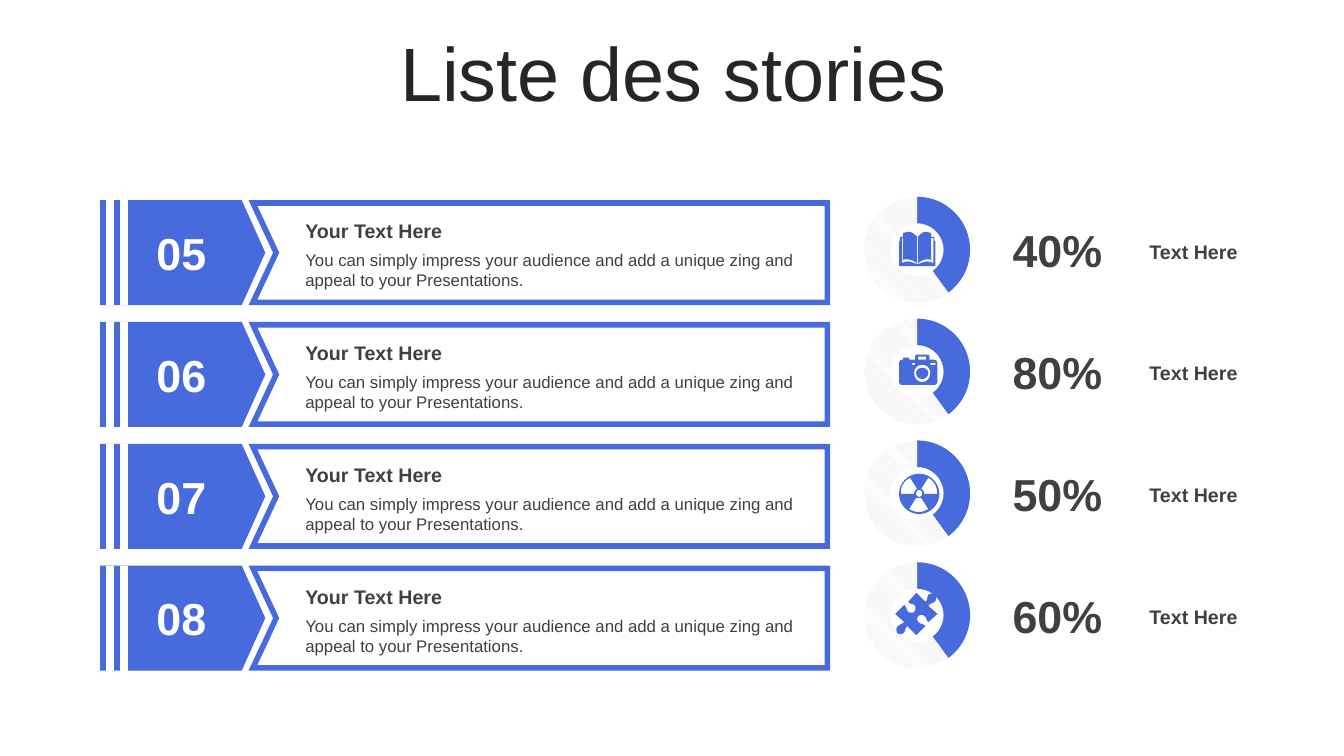
from lxml import etree
from pptx import Presentation
from pptx import util as u
from pptx.chart.data import CategoryChartData
from pptx.dml.color import RGBColor
from pptx.enum import chart, dml, shapes, text
from pptx.oxml.ns import qn

COLORS = {
    "blue": "476ADD",
    "white": "FFFFFF",
    "title": "262626",
    "body": "404040",
    "hatch": "D9D9D9",
    "black": "000000",
}
FONT = "Arial"
BODY = "You can simply impress your audience and add a unique zing and appeal to your Presentations."
ROW_TOP, ROW_PITCH, ROW_HEIGHT = 145, 87, 71
ICON_UNIT = 0.72

BOOK = (
    "18,32 19,32 25,30:27,28:34,31 34,6 32,6 32,28 28,26:23,28:19,31 19,5 21,2:24,0:27,0 "
    "28,0:30,1:32,1 32,5 35,5 35,9 36,9 36,34 0,34 0,9 1,9 1,5 4,5 4,1 6,1:8,0:9,0 "
    "13,0:15,2:18,5 18,31 13,28:8,26:4,28 4,6 3,6 3,31 9,28:12,30:18,32"
)
CAMERA = (
    "23,13 26,13:29,15:29,18 29,22:26,24:23,24 20,24:17,22:17,18 17,15:20,13:23,13"
    "|23,10 18,10:15,14:15,18 15,23:18,27:23,27 28,27:31,23:31,18 31,14:28,10:23,10"
    "|13,8 13,10 16,10 16,8|31,8 31,10 36,10 36,8|19,2 19,5 27,5 27,2"
    "|17,0 29,0 30,1 30,5 35,5 37,5:38,7:38,9 38,27 38,28:37,30:35,30 3,30 "
    "1,30:0,28:0,27 0,9 0,7:1,5:3,5 4,5 4,3 10,3 10,5 16,5 16,1"
)
RADIATION = (
    "17,24 10,35 16,39:23,39:29,35 22,24"
    "|20,16 18,16:17,18:17,20 17,21:18,23:20,23 22,23:23,21:23,20 23,18:22,16:20,16"
    "|29,4 22,15 24,16:25,18:25,20 38,20 38,13:35,7:29,4"
    "|11,4 5,7:1,13:2,20 15,20 15,18:16,16:18,15"
    "|20,0 31,0:40,9:40,20 40,31:31,40:20,40 9,40:0,31:0,20 0,9:9,0:20,0"
)
PUZZLE = (
    "40,2 41,4:41,6:40,8 38,11:36,9:33,13 42,21 33,29 30,27:32,25:29,23 27,21:25,22:23,23 "
    "22,24:21,27:23,29 26,32:27,30:30,33 21,42 12,33 9,36:11,37:9,39 7,42:4,41:2,40 "
    "1,38:1,35:2,34 4,31:6,32:9,29 0,21 9,12 12,15:11,17:13,19 15,20:18,20:19,19 "
    "20,17:21,14:19,12 16,10:15,12:13,9 21,0 30,9 33,6:31,5:33,2 35,0:38,1:40,2"
)
STORIES = [
    ("05", "40%", BOOK, 642.2, 165.6),
    ("06", "80%", CAMERA, 642.2, 253.4),
    ("07", "50%", RADIATION, 642.2, 338.4),
    ("08", "60%", PUZZLE, 639.4, 423.4),
]


def rgb(name):
    """Return the named colour."""
    return RGBColor.from_string(COLORS[name])


def trace(outline, left, top, steps=8):
    """Turn an icon outline with Bezier curves into contours in points."""
    contours = []
    for contour in outline.split("|"):
        points = []
        for token in contour.split():
            knots = [tuple(map(float, pair.split(","))) for pair in token.split(":")]
            if len(knots) == 1:
                points += knots
                continue
            a, (b, c, d) = points[-1], knots
            for step in range(1, steps + 1):
                t = step / steps
                s = 1 - t
                points.append(tuple(
                    s**3 * a[k] + 3 * s * s * t * b[k] + 3 * s * t * t * c[k] + t**3 * d[k]
                    for k in (0, 1)
                ))
        contours.append([(left + x * ICON_UNIT, top + y * ICON_UNIT) for x, y in points])
    return contours


class Deck:
    """Holds the style and the current slide."""

    def __init__(self):
        """Open a presentation with one title-only slide."""
        self.presentation = Presentation()
        self.presentation.slide_width = u.Pt(960)
        self.presentation.slide_height = u.Pt(540)
        self.slide = self.presentation.slides.add_slide(self.presentation.slide_layouts[5])

    def style(self, paragraph, size, color, bold=False, align=text.PP_ALIGN.LEFT):
        """Format a paragraph and its runs."""
        paragraph.alignment = align
        for run in paragraph.runs:
            run.font.name = FONT
            run.font.size = u.Pt(size)
            run.font.bold = bold
            run.font.color.rgb = rgb(color)

    def title(self, words, box):
        """Place and format the title."""
        shape = self.slide.shapes.title
        shape.left, shape.top, shape.width, shape.height = map(u.Pt, box)
        shape.text_frame.text = words
        shape.text_frame.vertical_anchor = text.MSO_ANCHOR.MIDDLE
        paragraph = shape.text_frame.paragraphs[0]
        paragraph.line_spacing = 0.9
        paragraph.space_before = u.Pt(10)
        self.style(paragraph, 54, "title", align=text.PP_ALIGN.CENTER)

    def label(self, words, box, size, color="body", bold=True, centred=True, inset=3.6,
              anchor=text.MSO_ANCHOR.TOP):
        """Add a wrapped text box."""
        frame = self.slide.shapes.add_textbox(*map(u.Pt, box)).text_frame
        frame.word_wrap = True
        frame.auto_size = text.MSO_AUTO_SIZE.SHAPE_TO_FIT_TEXT
        frame.vertical_anchor = anchor
        frame.margin_top = frame.margin_bottom = u.Pt(inset)
        frame.text = words
        align = text.PP_ALIGN.CENTER if centred else text.PP_ALIGN.LEFT
        self.style(frame.paragraphs[0], size, color, bold, align)

    def paint(self, shape, fill, line=None):
        """Set fill and a mitred outline, without shadow."""
        shape.shadow.inherit = False
        shape.fill.solid()
        shape.fill.fore_color.rgb = rgb(fill)
        if line is None:
            shape.line.fill.background()
            return
        shape.line.color.rgb = rgb(line)
        shape.line.width = u.Pt(4)
        etree.SubElement(shape.line._get_or_add_ln(), qn("a:miter"), lim="800000")

    def block(self, kind, box, color):
        """Add a preset shape in one colour."""
        shape = self.slide.shapes.add_shape(kind, *map(u.Pt, box))
        self.paint(shape, color, color)
        return shape

    def freeform(self, contours, fill, line=None):
        """Add a closed outline made of one or more contours."""
        contours = [[(u.Pt(x), u.Pt(y)) for x, y in contour] for contour in contours]
        builder = self.slide.shapes.build_freeform(*contours[0][0])
        for index, contour in enumerate(contours):
            if index:
                builder.move_to(*contour[0])
            builder.add_line_segments(contour[1:], close=True)
        self.paint(builder.convert_to_shape(), fill, line)

    def ring(self, box):
        """Add a doughnut chart with one solid and one hatched part."""
        data = CategoryChartData()
        data.categories = ["1", "2"]
        data.add_series("Series 1", (40, 60))
        kind = chart.XL_CHART_TYPE.DOUGHNUT
        ring = self.slide.shapes.add_chart(kind, *map(u.Pt, box), data).chart
        ring.has_legend = ring.has_title = False
        ring.font.name = FONT
        ring.font.size = u.Pt(18)
        ring.font.color.rgb = rgb("black")
        plot = ring.plots[0]
        plot.vary_by_categories = False
        share, rest = (plot.series[0].points[k].format for k in (0, 1))
        share.fill.solid()
        share.fill.fore_color.rgb = rgb("blue")
        rest.fill.patterned()
        rest.fill.pattern = dml.MSO_PATTERN.LIGHT_DOWNWARD_DIAGONAL
        rest.fill.fore_color.rgb = rgb("hatch")
        rest.fill.back_color.rgb = rgb("white")
        for part in (share, rest):
            part.line.fill.background()
        area = ring._chartSpace.find(".//" + qn("c:plotArea"))
        area.find(".//" + qn("c:holeSize")).set("val", "75")
        for old in area.findall(qn("c:layout")):
            area.remove(old)
        layout = etree.Element(qn("c:layout"))
        area.insert(0, layout)
        manual = etree.SubElement(layout, qn("c:manualLayout"))
        settings = {"layoutTarget": "inner", "xMode": "edge", "yMode": "edge",
                    "x": "0", "y": "0.03", "w": "0.98", "h": "0.94"}
        for name, value in settings.items():
            etree.SubElement(manual, qn("c:" + name), val=value)

    def story(self, index, number, percent, icon, icon_left, icon_top):
        """Add one row: banner, texts, ring and icon."""
        top = ROW_TOP + index * ROW_PITCH
        bottom, middle = top + ROW_HEIGHT, top + ROW_HEIGHT / 2
        panel = [(180.7, top), (591, top), (591, bottom), (180.7, bottom), (197.3, middle)]
        self.freeform([panel], "white", "blue")
        arrow = self.block(shapes.MSO_SHAPE.PENTAGON, (73.5, top, 113.8, ROW_HEIGHT), "blue")
        arrow.adjustments[0] = 0.224
        for left in (77.8, 87.8):
            self.block(shapes.MSO_SHAPE.RECTANGLE, (left, top, 1.4, ROW_HEIGHT), "white")
        self.ring((617, top - 6.8, 77.8, 80.6))
        centre = text.MSO_ANCHOR.MIDDLE
        self.label(percent, (712.8, top + 10.5, 85, 46), 32, anchor=centre)
        self.label(number, (100, top + 16, 59, 39), 32, "white", inset=0, anchor=centre)
        self.label("Your Text Here", (211, top + 8, 363.6, 24.5), 14, centred=False)
        self.label(BODY, (211, top + 30, 363.6, 36), 12, bold=False, centred=False)
        self.label("Text Here", (810, top + 22.5, 85, 24.5), 14)
        self.freeform(trace(icon, icon_left, icon_top), "blue")


def main():
    """Build the slide and save it."""
    deck = Deck()
    deck.title("Liste des stories", (25.2, 26.6, 911.5, 56.9))
    for index, story in enumerate(STORIES):
        deck.story(index, *story)
    deck.presentation.save("out.pptx")


if __name__ == "__main__":
    main()
